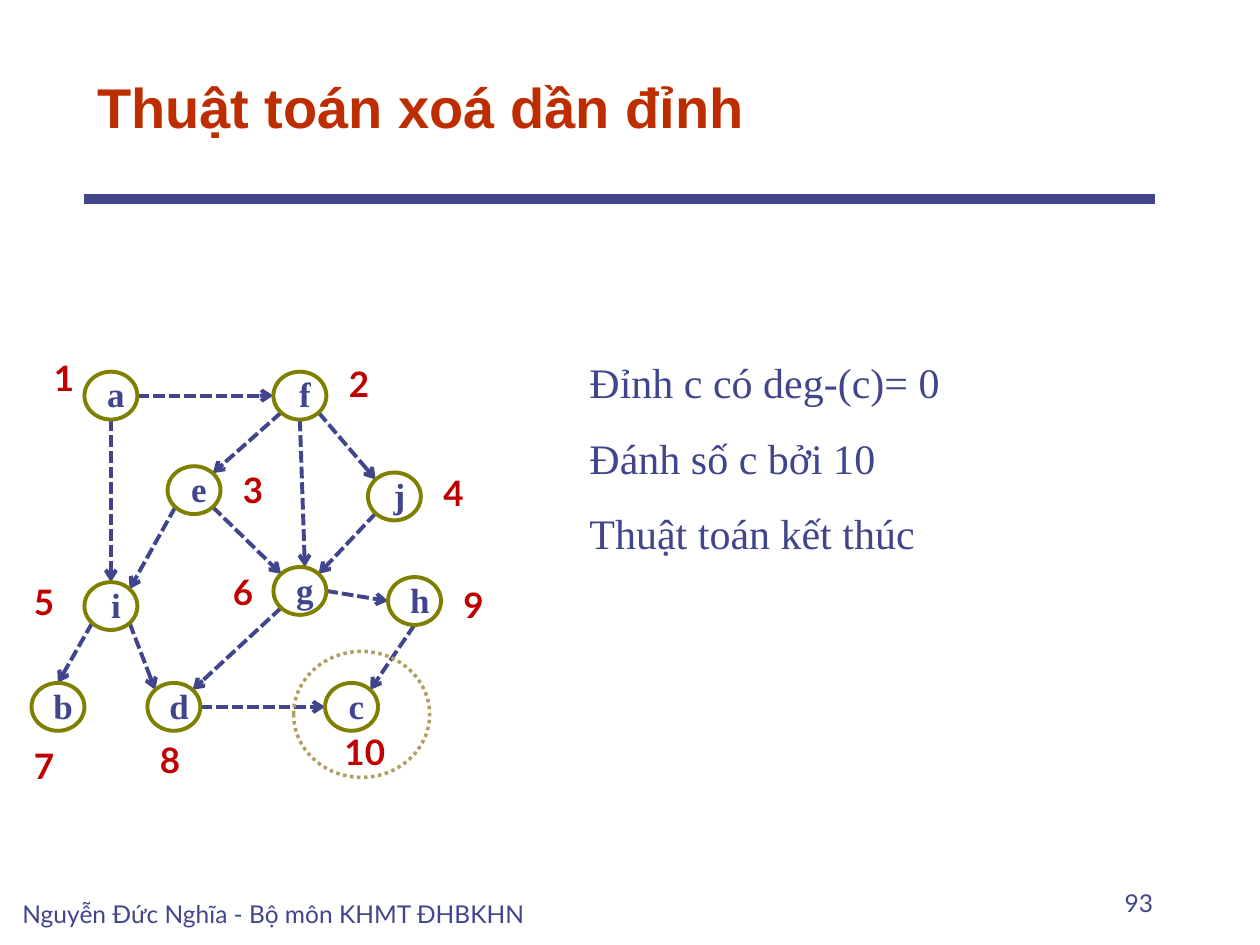
from dataclasses import dataclass
from math import sqrt

from lxml import etree
from pptx import Presentation
from pptx.dml.color import RGBColor
from pptx.enum.dml import MSO_LINE
from pptx.enum.shapes import MSO_CONNECTOR, MSO_SHAPE
from pptx.enum.text import MSO_ANCHOR, MSO_AUTO_SIZE, PP_ALIGN
from pptx.oxml.ns import qn
from pptx.shapes.autoshape import Shape
from pptx.shapes.connector import Connector
from pptx.slide import Slide
from pptx.util import Inches, Pt

STRAIGHT = MSO_CONNECTOR.STRAIGHT
OVAL = MSO_SHAPE.OVAL
DASHED, DOTTED = MSO_LINE.SQUARE_DOT, MSO_LINE.ROUND_DOT
LEFT, CENTER, RIGHT = PP_ALIGN.LEFT, PP_ALIGN.CENTER, PP_ALIGN.RIGHT
TOP, BOTTOM = MSO_ANCHOR.TOP, MSO_ANCHOR.BOTTOM

INDIGO = RGBColor(0x40, 0x45, 0x8C)
RUST = RGBColor(0xBE, 0x2D, 0x00)
OLIVE = RGBColor(0x80, 0x80, 0x00)
SAND = RGBColor(0xAF, 0xA0, 0x60)
RED = RGBColor(0xC0, 0x00, 0x00)

SERIF, SANS, HEADING = "Times New Roman", "Lato", "Arial"
NODE_WIDTH, NODE_HEIGHT = 0.42, 0.38
DIAGONAL = 1 / sqrt(2)
SITES = {
    "N": (0, -1), "S": (0, 1), "W": (-1, 0), "E": (1, 0),
    "NW": (-DIAGONAL, -DIAGONAL), "NE": (DIAGONAL, -DIAGONAL),
    "SW": (-DIAGONAL, DIAGONAL), "SE": (DIAGONAL, DIAGONAL),
}


@dataclass(frozen=True)
class Node:
    left: float
    top: float
    number: str
    number_left: float
    number_top: float
    number_width: float = 0.33

    def site(self, direction: str) -> tuple[float, float]:
        """Return the point on the outline in a compass direction."""
        across, down = SITES[direction]
        return (self.left + NODE_WIDTH / 2 * (1 + across),
                self.top + NODE_HEIGHT / 2 * (1 + down))


@dataclass(frozen=True)
class Edge:
    start: str
    start_site: str
    end: str
    end_site: str
    end_shift: float = 0


@dataclass(frozen=True)
class Style:
    font: str
    size: float
    color: RGBColor
    bold: bool = False


TITLE_STYLE = Style(HEADING, 32, RUST, True)
NODE_STYLE = Style(SERIF, 20, INDIGO, True)
NUMBER_STYLE = Style(SANS, 20, RED, True)
BODY_STYLE = Style(SERIF, 24, INDIGO)
FOOTER_STYLE = Style(SANS, 14, INDIGO)

NODES = {
    "a": Node(0.67, 2.95, "1", 0.33, 2.78),
    "f": Node(2.17, 2.95, "2", 2.67, 2.83),
    "e": Node(1.33, 3.7, "3", 1.83, 3.67),
    "j": Node(2.92, 3.75, "4", 3.42, 3.69),
    "i": Node(0.67, 4.62, "5", 0.17, 4.56),
    "g": Node(2.17, 4.5, "6", 1.75, 4.48),
    "b": Node(0.25, 5.42, "7", 0.17, 5.86),
    "d": Node(1.17, 5.42, "8", 1.17, 5.81),
    "h": Node(3.08, 4.58, "9", 3.58, 4.58),
    "c": Node(2.58, 5.42, "10", 2.54, 5.75, 0.71),
}
EDGES = [
    Edge("a", "E", "f", "W"),
    Edge("a", "S", "i", "N"),
    Edge("f", "SW", "e", "NE"),
    Edge("f", "S", "g", "N", 0.04),
    Edge("f", "SE", "j", "NW"),
    Edge("e", "SW", "i", "NE"),
    Edge("e", "SE", "g", "NW"),
    Edge("j", "SW", "g", "NE"),
    Edge("g", "E", "h", "W"),
    Edge("g", "SW", "d", "NE"),
    Edge("i", "SW", "b", "N"),
    Edge("i", "SE", "d", "NW"),
    Edge("h", "S", "c", "NE"),
    Edge("d", "E", "c", "W"),
]
STEPS = ["Đỉnh c có deg-(c)= 0", "Đánh số c bởi 10", "Thuật toán kết thúc"]


def write_lines(shape: Shape, lines: list[str], style: Style,
                alignment: PP_ALIGN = LEFT, line_spacing: float = 1.0) -> None:
    frame = shape.text_frame
    for index, line in enumerate(lines):
        paragraph = frame.add_paragraph() if index else frame.paragraphs[0]
        paragraph.alignment = alignment
        paragraph.line_spacing = line_spacing
        run = paragraph.add_run()
        run.text = line
        run.font.name = style.font
        run.font.size = Pt(style.size)
        run.font.bold = style.bold
        run.font.color.rgb = style.color


def add_text_box(slide: Slide, left: float, top: float, width: float,
                 height: float, anchor: MSO_ANCHOR = TOP,
                 grows: bool = True) -> Shape:
    box = slide.shapes.add_textbox(
        Inches(left), Inches(top), Inches(width), Inches(height))
    frame = box.text_frame
    frame.word_wrap = True
    frame.vertical_anchor = anchor
    frame.auto_size = (MSO_AUTO_SIZE.SHAPE_TO_FIT_TEXT if grows
                       else MSO_AUTO_SIZE.NONE)
    return box


def add_line(slide: Slide, start: tuple[float, float],
             end: tuple[float, float], width: float) -> Connector:
    line = slide.shapes.add_connector(
        STRAIGHT, *(Inches(value) for value in (*start, *end)))
    line.line.color.rgb = INDIGO
    line.line.width = Pt(width)
    etree.SubElement(line._element.spPr, qn("a:effectLst"))
    return line


def add_edge(slide: Slide, edge: Edge) -> None:
    end_x, end_y = NODES[edge.end].site(edge.end_site)
    start = NODES[edge.start].site(edge.start_site)
    arrow = add_line(slide, start, (end_x + edge.end_shift, end_y), 2.25)
    arrow.line.dash_style = DASHED
    outline = arrow.line._get_or_add_ln()
    etree.SubElement(outline, qn("a:tailEnd"), type="arrow")


def add_ring(slide: Slide, left: float, top: float, width: float,
             height: float, color: RGBColor, line_width: float) -> Shape:
    ring = slide.shapes.add_shape(
        OVAL, Inches(left), Inches(top), Inches(width), Inches(height))
    ring.shadow.inherit = False
    ring.fill.background()
    ring.line.color.rgb = color
    ring.line.width = Pt(line_width)
    return ring


def add_node(slide: Slide, name: str, node: Node) -> None:
    add_ring(slide, node.left, node.top, NODE_WIDTH, NODE_HEIGHT, OLIVE, 2.25)
    label = add_text_box(slide, node.left + 0.165, node.top, 0.17, 0.36)
    frame = label.text_frame
    frame.margin_left = frame.margin_right = Inches(0.01)
    frame.margin_top = frame.margin_bottom = Inches(0.01)
    write_lines(label, [name], NODE_STYLE, CENTER)
    number = add_text_box(slide, node.number_left, node.number_top,
                          node.number_width, 0.44)
    write_lines(number, [node.number], NUMBER_STYLE, CENTER)


def main() -> None:
    presentation = Presentation()
    presentation.slide_width, presentation.slide_height = Inches(10), Inches(7.5)
    slide = presentation.slides.add_slide(presentation.slide_layouts[5])

    title = slide.shapes.title
    title.left, title.top = Inches(0.67), Inches(0.33)
    title.width, title.height = Inches(8.5), Inches(0.83)
    title.text_frame.vertical_anchor = BOTTOM
    write_lines(title, ["Thuật toán xoá dần đỉnh"], TITLE_STYLE)
    add_line(slide, (0.67, 1.58), (9.17, 1.58), 6)

    for edge in EDGES:
        add_edge(slide, edge)
    for name, node in NODES.items():
        add_node(slide, name, node)
    highlight = add_ring(slide, 2.33, 5.17, 1.08, 1, SAND, 2)
    highlight.line.dash_style = DOTTED

    steps = add_text_box(slide, 4.58, 2.58, 4.92, 1.92)
    write_lines(steps, STEPS, BODY_STYLE, line_spacing=1.5)
    page_number = add_text_box(slide, 7.17, 6.83, 2.08, 0.5, BOTTOM, False)
    write_lines(page_number, ["93"], FOOTER_STYLE, RIGHT)
    footer = add_text_box(slide, 0.08, 6.92, 4.67, 0.5, BOTTOM, False)
    write_lines(footer, ["Nguyễn Đức Nghĩa - Bộ môn KHMT ĐHBKHN"], FOOTER_STYLE)

    presentation.save("out.pptx")


if __name__ == "__main__":
    main()
